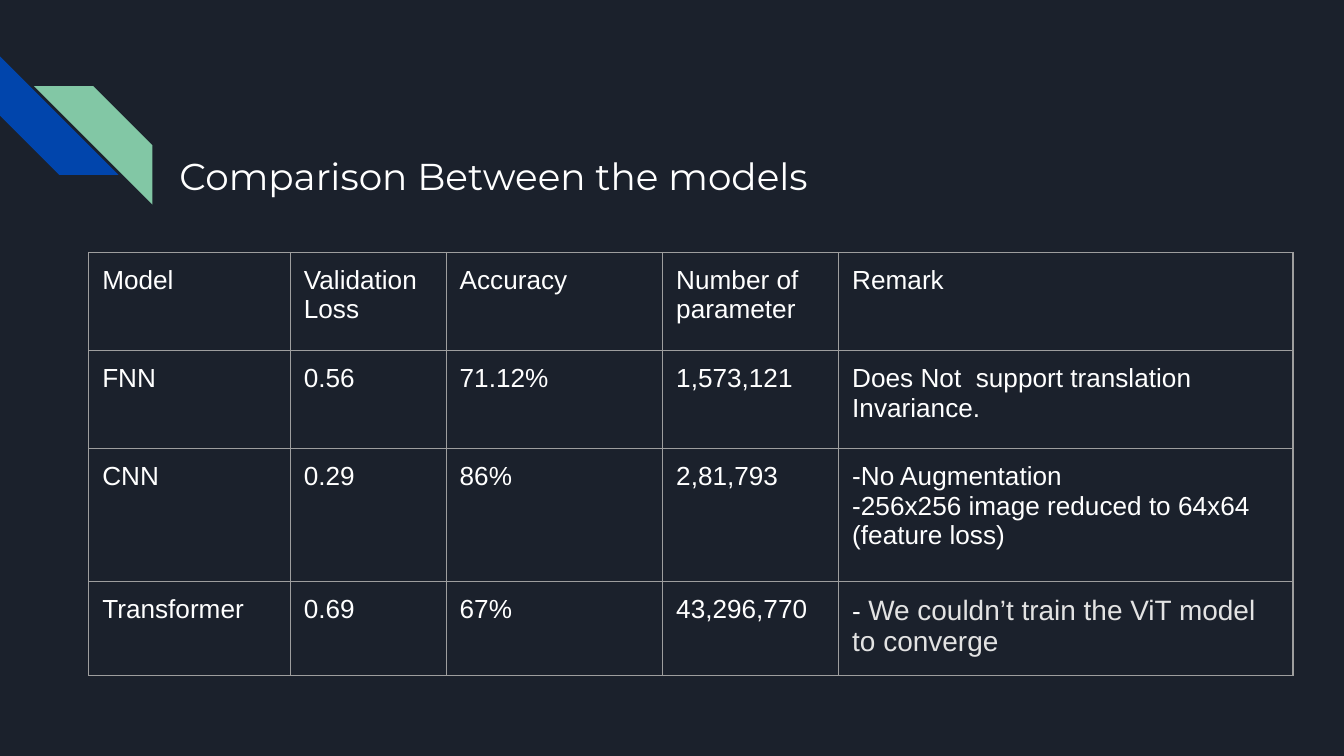
from lxml import etree
from pptx import Presentation
from pptx.dml.color import RGBColor
from pptx.enum.shapes import MSO_SHAPE
from pptx.enum.text import MSO_ANCHOR
from pptx.oxml.ns import qn
from pptx.util import Pt

STRIPE = MSO_SHAPE.DIAGONAL_STRIPE
MIDDLE = MSO_ANCHOR.MIDDLE

COLORS = {
    "background": "1B212C",
    "blue": "0145AC",
    "green": "82C7A5",
    "text": "FFFFFF",
    "muted": "E3E3E3",
    "border": "9E9E9E",
}
INSET = 7.2
COLUMN_WIDTHS = [108, 83.5, 116, 94.3, 243.4]
ROW_HEIGHTS = [52.6, 52.6, 71.3, 34.5]
MODELS = [
    ["Model", "Validation Loss", "Accuracy", "Number of parameter", "Remark"],
    ["FNN", "0.56", "71.12%", "1,573,121",
     "Does Not  support translation Invariance."],
    ["CNN", "0.29", "86%", "2,81,793",
     "-No Augmentation\n-256x256 image reduced to 64x64 (feature loss)"],
    ["Transformer", "0.69", "67%", "43,296,770", "- "],
]
TRANSFORMER_REMARK = "We couldn’t train the ViT model to converge"


class SlideBuilder:
    def __init__(self, slide):
        self.slide = slide
        background = slide.background.fill
        background.solid()
        background.fore_color.rgb = self.color("background")

    def color(self, name):
        return RGBColor.from_string(COLORS[name])

    def style_font(self, font, size, name="Arial", color="text"):
        font.size = Pt(size)
        font.name = name
        font.color.rgb = self.color(color)

    def set_insets(self, holder):
        holder.margin_left = holder.margin_right = Pt(INSET)
        holder.margin_top = holder.margin_bottom = Pt(INSET)

    def stripe(self, left, top, size, color, rotation):
        stripe = self.slide.shapes.add_shape(
            STRIPE, Pt(left), Pt(top), Pt(size), Pt(size))
        stripe.adjustments[0] = 0.5
        stripe.rotation = rotation
        stripe.shadow.inherit = False
        stripe.fill.solid()
        stripe.fill.fore_color.rgb = self.color(color)
        stripe.line.fill.background()

    def title(self, text, left, top, width, height):
        frame = self.slide.shapes.add_textbox(
            Pt(left), Pt(top), Pt(width), Pt(height)).text_frame
        frame.word_wrap = True
        frame.vertical_anchor = MIDDLE
        self.set_insets(frame)
        frame.text = text
        self.style_font(frame.paragraphs[0].font, 20, "Montserrat")

    def border(self, cell):
        """Outline all four sides; borders must precede the cell's fill."""
        properties = cell._tc.get_or_add_tcPr()
        for position, side in enumerate(("lnL", "lnR", "lnT", "lnB")):
            line = etree.Element(qn(f"a:{side}"), w=str(Pt(0.75)))
            fill = etree.SubElement(line, qn("a:solidFill"))
            etree.SubElement(fill, qn("a:srgbClr"), val=COLORS["border"])
            properties.insert(position, line)

    def table(self, left, top, rows, widths, heights):
        table = self.slide.shapes.add_table(
            len(rows), len(widths), Pt(left), Pt(top),
            Pt(sum(widths)), Pt(sum(heights))).table
        table.first_row = table.horz_banding = False
        for column, width in zip(table.columns, widths):
            column.width = Pt(width)
        for row, height, texts in zip(table.rows, heights, rows):
            row.height = Pt(height)
            for cell, text in zip(row.cells, texts):
                cell.text = text
                self.set_insets(cell)
                cell.fill.background()
                self.border(cell)
                for paragraph in cell.text_frame.paragraphs:
                    self.style_font(paragraph.font, 14)
        return table


def main():
    presentation = Presentation()
    presentation.slide_width, presentation.slide_height = Pt(720), Pt(405)
    builder = SlideBuilder(
        presentation.slides.add_slide(presentation.slide_layouts[6]))

    builder.stripe(0, 30.2, 63.5, "blue", rotation=270)
    builder.stripe(18.2, 46.2, 63.5, "green", rotation=90)
    builder.title("Comparison Between the models", 89, 74.3, 458.6, 39)
    comparison = builder.table(47.6, 135.2, MODELS, COLUMN_WIDTHS, ROW_HEIGHTS)

    dash_paragraph = comparison.cell(3, 4).text_frame.paragraphs[0]
    remark = dash_paragraph.add_run()
    remark.text = TRANSFORMER_REMARK
    builder.style_font(remark.font, 15, color="muted")

    presentation.save("out.pptx")


if __name__ == "__main__":
    main()
